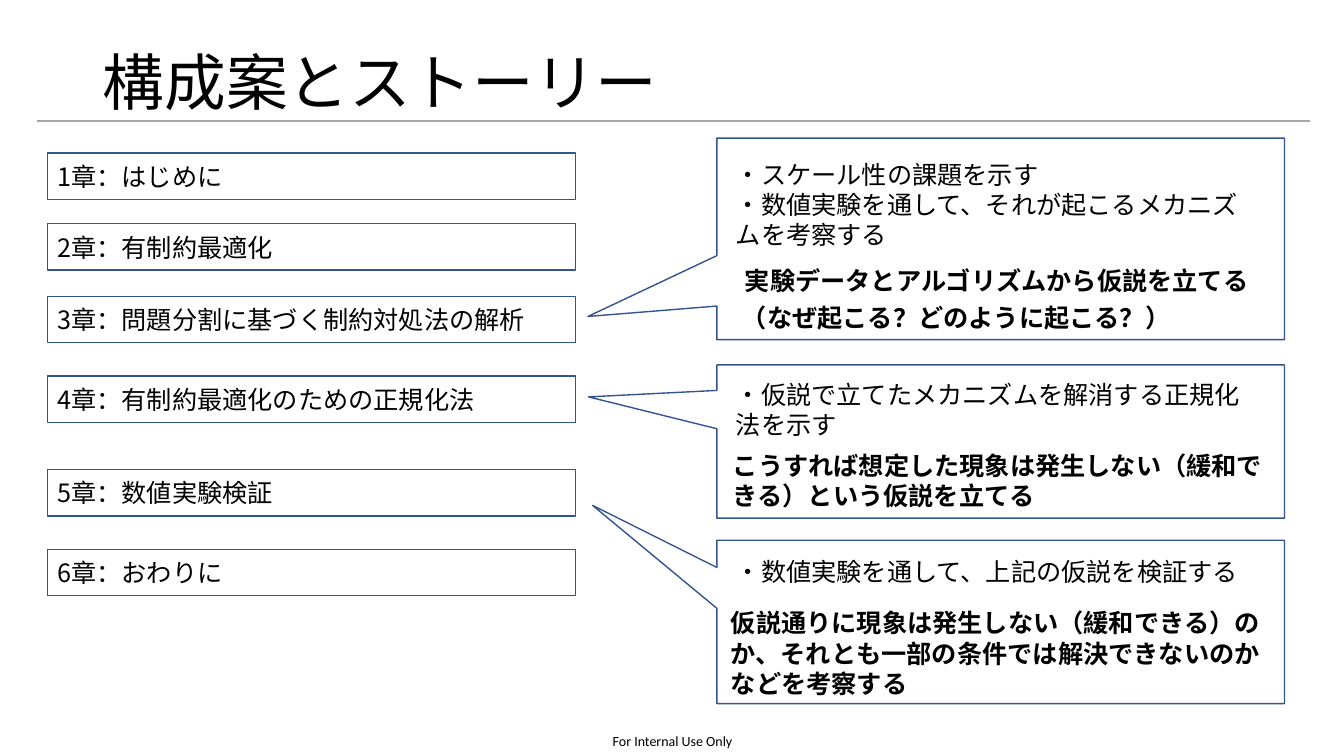
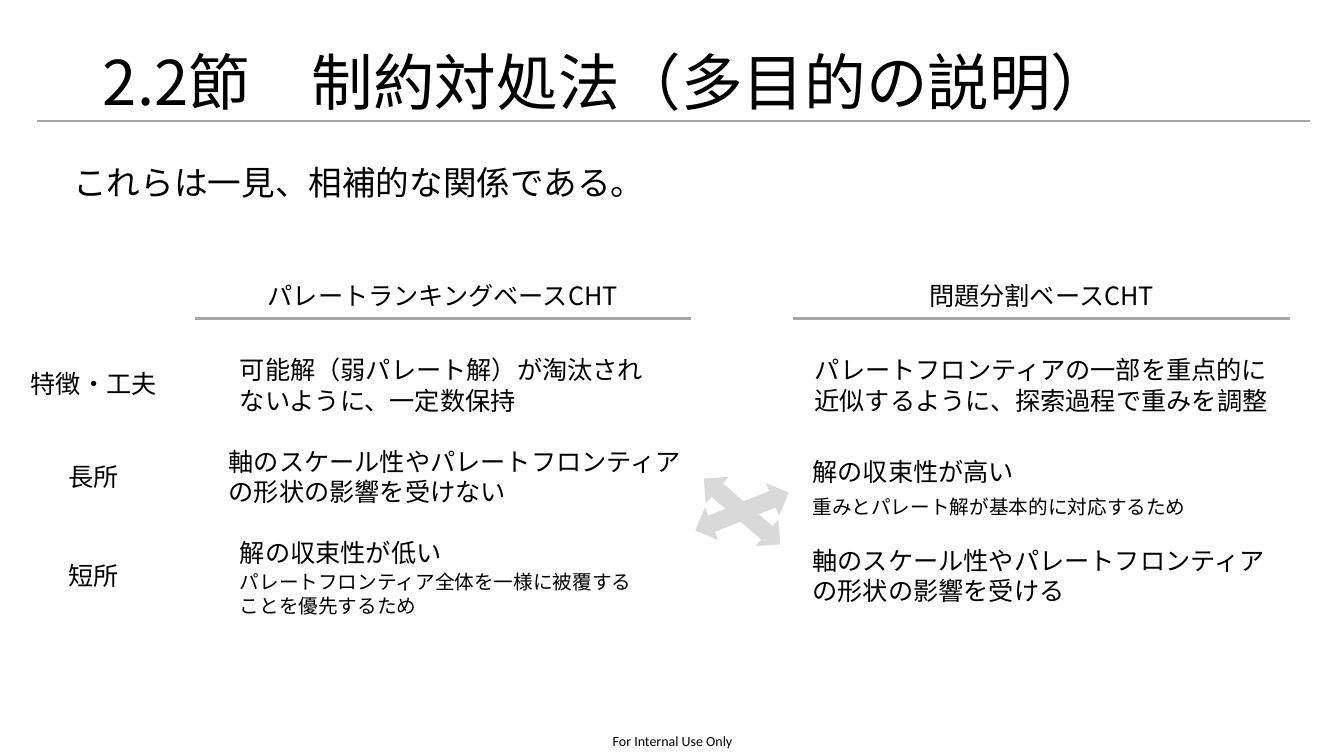
from lxml import etree
from pptx import Presentation
from pptx.dml.color import RGBColor
from pptx.enum import shapes, text
from pptx.oxml.ns import qn
from pptx.util import Inches, Pt

JAPANESE_FONT = "Noto Sans CJK JP"
BLACK, BLUE, GREY, LIGHT_GREY = "000000", "325491", "A6A6A6", "D9D9D9"
LEFT, CENTER = text.PP_ALIGN.LEFT, text.PP_ALIGN.CENTER
TOP, MIDDLE = text.MSO_ANCHOR.TOP, text.MSO_ANCHOR.MIDDLE


def color(hex_value):
    return RGBColor.from_string(hex_value)


def box(left, top, width, height):
    return [Inches(value) for value in (left, top, width, height)]


def set_all(target, values):
    for name, value in values.items():
        setattr(target, name, value)


def write(shape, content, size=18, bold=False, align=LEFT, anchor=TOP,
          font=JAPANESE_FONT, spacing=None):
    """Fill a shape with text, one paragraph per line of content."""
    frame = shape.text_frame
    frame.text = content
    set_all(frame, {"word_wrap": True, "vertical_anchor": anchor,
                    "auto_size": text.MSO_AUTO_SIZE.NONE})
    for paragraph in frame.paragraphs:
        set_all(paragraph, {"alignment": align, "line_spacing": spacing})
        for run in paragraph.runs:
            set_all(run.font, {"size": Pt(size), "bold": bold, "name": font})
            run.font.color.rgb = color(BLACK)
    for properties in shape.element.iter(qn("a:rPr")):
        etree.SubElement(properties, qn("a:ea"), typeface=font)


def add_text(slide, position, content, **style):
    shape = slide.shapes.add_textbox(*box(*position))
    write(shape, content, **style)
    return shape


def add_line(slide, left, right, y, width):
    line = slide.shapes.add_connector(
        shapes.MSO_CONNECTOR.STRAIGHT,
        Inches(left), Inches(y), Inches(right), Inches(y))
    line.line.width = Pt(width)
    line.line.color.rgb = color(GREY)
    etree.SubElement(line.element.spPr, qn("a:effectLst"))
    return line


def add_outline(slide, kind, position):
    shape = slide.shapes.add_shape(kind, *box(*position))
    shape.shadow.inherit = False
    shape.fill.background()
    shape.line.color.rgb = color(BLUE)
    shape.line.width = Pt(1)
    return shape


def add_chapter(slide, top, content):
    shape = add_outline(slide, shapes.MSO_SHAPE.RECTANGLE, (0.47, top, 5.24, 0.46))
    write(shape, content, anchor=MIDDLE)


def add_callout(slide, top, height, tip):
    """Draw a callout whose tip is given as a share of its size from its centre."""
    shape = add_outline(slide, shapes.MSO_SHAPE.RECTANGULAR_CALLOUT,
                        (7.11, top, 5.63, height))
    for index, value in enumerate(tip):
        shape.adjustments[index] = value


def add_double_arrow(slide, rotation):
    arrow = slide.shapes.add_shape(shapes.MSO_SHAPE.LEFT_RIGHT_ARROW,
                                   *box(6.86, 4.9, 1, 0.35))
    arrow.shadow.inherit = False
    arrow.fill.solid()
    arrow.fill.fore_color.rgb = color(LIGHT_GREY)
    arrow.line.fill.background()
    arrow.rotation = rotation


def add_slide(presentation, title):
    slide = presentation.slides.add_slide(presentation.slide_layouts[5])
    names = ("left", "top", "width", "height")
    set_all(slide.shapes.title, dict(zip(names, box(0.92, 0.4, 11.5, 0.89))))
    write(slide.shapes.title, title, size=44, anchor=MIDDLE, spacing=0.9)
    return slide


def share_frame(slide):
    """Put the title rule and the footer on the layout, so every slide shows them."""
    rule = add_line(slide, 0.37, 12.99, 1.2, 1)
    footer = add_text(slide, (5.91, 7.21, 1.52, 0.29), "For Internal Use Only",
                      size=10, align=CENTER, anchor=MIDDLE, font="Calibri")
    set_all(footer.text_frame, dict.fromkeys(
        ("margin_left", "margin_top", "margin_right", "margin_bottom"), 0))
    for shape in (rule, footer):
        slide.slide_layout.shapes.element.append(shape.element)


def build_story(slide):
    chapters = [
        (1.52, "1章：はじめに"),
        (2.22, "2章：有制約最適化"),
        (2.94, "3章：問題分割に基づく制約対処法の解析"),
        (3.73, "4章：有制約最適化のための正規化法"),
        (4.66, "5章：数値実験検証"),
        (5.45, "6章：おわりに"),
    ]
    for top, content in chapters:
        add_chapter(slide, top, content)

    callouts = [
        (1.37, 2, (-0.727, 0.385)),
        (3.62, 1.52, (-0.726, -0.291)),
        (5.36, 1.62, (-0.719, -0.714)),
    ]
    for top, height, tip in callouts:
        add_callout(slide, top, height, tip)

    aims = [
        ((7.2, 1.53, 5.39, 1.01),
         "・スケール性の課題を示す\n・数値実験を通して、それが起こるメカニズムを考察する"),
        ((7.2, 3.71, 5.39, 0.71), "・仮説で立てたメカニズムを解消する正規化法を示す"),
        ((7.2, 5.47, 5.28, 0.4), "・数値実験を通して、上記の仮説を検証する"),
    ]
    hypotheses = [
        ((7.29, 2.58, 5.51, 0.4), "実験データとアルゴリズムから仮説を立てる"),
        ((7.26, 2.95, 5.51, 0.4), "（なぜ起こる？どのように起こる？）"),
        ((7.17, 4.42, 5.51, 0.71),
         "こうすれば想定した現象は発生しない（緩和できる）という仮説を立てる"),
        ((7.15, 5.98, 5.51, 1.01),
         "仮説通りに現象は発生しない（緩和できる）のか、"
         "それとも一部の条件では解決できないのかなどを考察する"),
    ]
    for entries, bold in ((aims, False), (hypotheses, True)):
        for position, content in entries:
            add_text(slide, position, content, bold=bold)


def build_comparison(slide):
    add_text(slide, (0.63, 1.58, 5.87, 0.46), "これらは一見、相補的な関係である。",
             size=24, anchor=MIDDLE)

    for left, heading in ((1.77, "パレートランキングベースCHT"), (7.71, "問題分割ベースCHT")):
        add_text(slide, (left, 2.7, 5.24, 0.46), heading, align=CENTER, anchor=MIDDLE)
        add_line(slide, left + 0.16, left + 5.08, 3.16, 2.25)

    for top, label in ((3.57, "特徴・工夫"), (4.5, "長所"), (5.48, "短所")):
        add_text(slide, (0, top, 1.86, 0.46), label, align=CENTER, anchor=MIDDLE)

    cells = [
        ((2.28, 3.59, 4.22, 0.46), "可能解（弱パレート解）が淘汰されないように、一定数保持", 18, LEFT),
        ((7.96, 3.59, 4.73, 0.46),
         "パレートフロンティアの一部を重点的に近似するように、探索過程で重みを調整", 18, CENTER),
        ((2.17, 4.5, 4.84, 0.46),
         "軸のスケール性やパレートフロンティアの形状の影響を受けない", 18, LEFT),
        ((7.96, 4.45, 4.22, 0.46), "解の収束性が高い", 18, LEFT),
        ((7.96, 4.8, 4.47, 0.46), "重みとパレート解が基本的に対応するため", 14, LEFT),
        ((2.28, 5.25, 4.22, 0.46), "解の収束性が低い", 18, LEFT),
        ((2.28, 5.62, 4.22, 0.54),
         "パレートフロンティア全体を一様に被覆することを優先するため", 14, LEFT),
        ((7.96, 5.48, 4.73, 0.46),
         "軸のスケール性やパレートフロンティアの形状の影響を受ける", 18, LEFT),
    ]
    for position, content, size, align in cells:
        add_text(slide, position, content, size=size, align=align, anchor=MIDDLE)

    for rotation in (338.1, 40.7):
        add_double_arrow(slide, rotation)


def main():
    presentation = Presentation()
    set_all(presentation, {"slide_width": Inches(13.33), "slide_height": Inches(7.5)})
    story = add_slide(presentation, "構成案とストーリー")
    share_frame(story)
    build_story(story)
    build_comparison(add_slide(presentation, "2.2節　制約対処法（多目的の説明）"))
    presentation.save("out.pptx")


if __name__ == "__main__":
    main()
